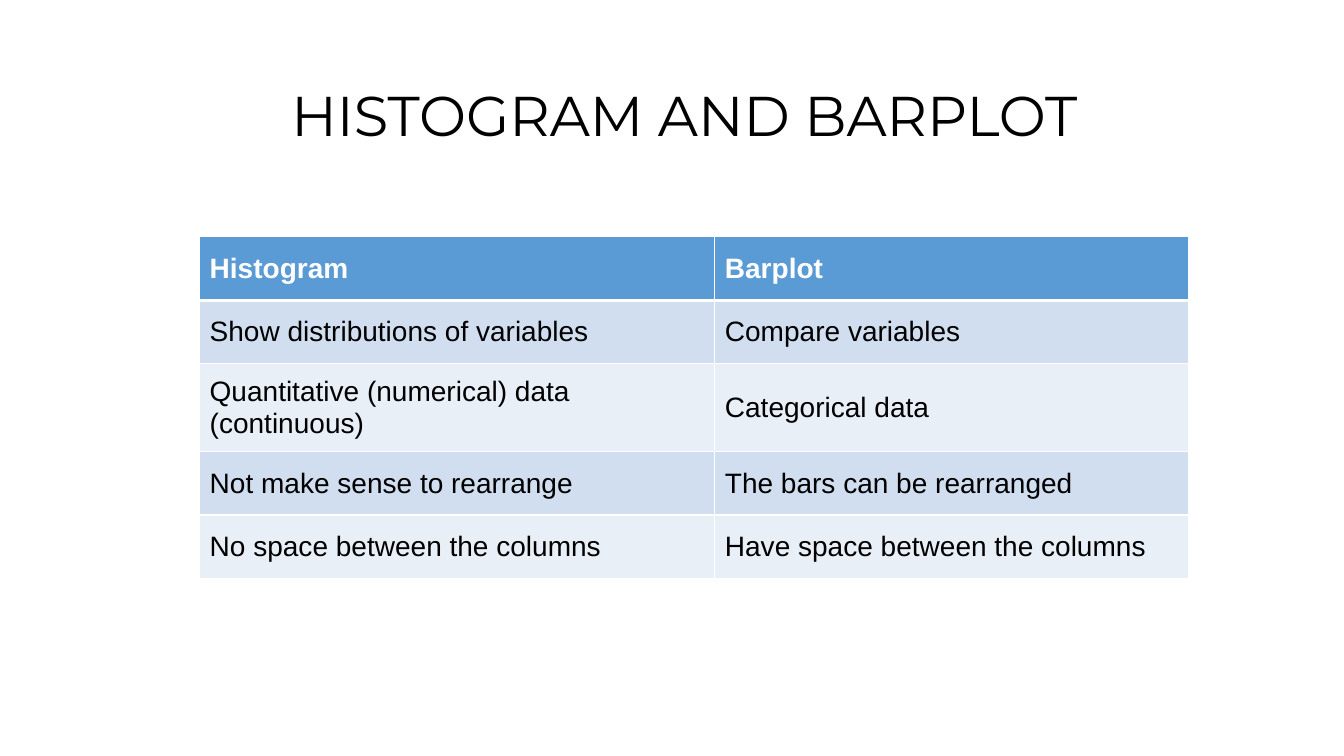
from dataclasses import dataclass

from lxml import etree
from pptx import Presentation
from pptx.dml.color import RGBColor
from pptx.enum.text import MSO_ANCHOR, PP_ALIGN
from pptx.oxml.ns import qn
from pptx.util import Inches, Pt

CENTER = PP_ALIGN.CENTER
MIDDLE = MSO_ANCHOR.MIDDLE
BOTTOM = MSO_ANCHOR.BOTTOM
BLANK_LAYOUT = 6


@dataclass(frozen=True)
class Theme:
    title_font: str = "Montserrat"
    body_font: str = "Arial"
    title_size: int = 40
    body_size: int = 20
    text: str = "000000"
    white: str = "FFFFFF"
    header: str = "5B9BD5"
    bands: tuple = ("D0DEEF", "E9EFF7")
    thin_border: int = 1
    thick_border: int = 3


class SlideBuilder:
    """Holds the theme and the slide being filled."""

    def __init__(self, slide, theme):
        self.slide = slide
        self.theme = theme

    def apply(self, target, formats):
        for name, value in formats.items():
            setattr(target, name, value)

    def add_text(self, text_frame, text, color, **font_formats):
        paragraph = text_frame.paragraphs[0]
        run = paragraph.add_run()
        run.text = text
        self.apply(run.font, font_formats)
        run.font.color.rgb = RGBColor.from_string(color)
        return paragraph

    def title(self, text, left, top, width, height):
        box = self.slide.shapes.add_textbox(
            Inches(left), Inches(top), Inches(width), Inches(height))
        self.apply(box.text_frame, {"word_wrap": True, "vertical_anchor": BOTTOM})
        paragraph = self.add_text(
            box.text_frame, text, self.theme.text,
            name=self.theme.title_font, size=Pt(self.theme.title_size))
        self.apply(paragraph, {"alignment": CENTER, "line_spacing": 1.3})

    def borders(self, cell, widths):
        properties = cell._tc.get_or_add_tcPr()
        for side, width in widths.items():
            line = etree.SubElement(properties, qn(f"a:ln{side}"), w=str(Pt(width)))
            fill = etree.SubElement(line, qn("a:solidFill"))
            etree.SubElement(fill, qn("a:srgbClr"), val=self.theme.white)

    def cell(self, cell, text, row_index):
        theme = self.theme
        is_header = row_index == 0
        fill_color = theme.header if is_header else theme.bands[(row_index - 1) % 2]
        thin, thick = theme.thin_border, theme.thick_border
        # The rule below the header is thicker than the other borders
        self.borders(cell, {
            "L": thin,
            "R": thin,
            "T": thick if row_index == 1 else thin,
            "B": thick if is_header else thin,
        })
        cell.fill.solid()
        cell.fill.fore_color.rgb = RGBColor.from_string(fill_color)
        cell.vertical_anchor = MIDDLE
        self.add_text(
            cell.text_frame, text, theme.white if is_header else theme.text,
            name=theme.body_font, size=Pt(theme.body_size), bold=is_header)

    def table(self, rows, left, top, column_widths, row_heights):
        table = self.slide.shapes.add_table(
            len(rows), len(column_widths), Inches(left), Inches(top),
            Inches(sum(column_widths)), Inches(sum(row_heights))).table
        for column, width in zip(table.columns, column_widths):
            column.width = Inches(width)
        for row, height in zip(table.rows, row_heights):
            row.height = Inches(height)
        for row_index, texts in enumerate(rows):
            for column_index, text in enumerate(texts):
                self.cell(table.cell(row_index, column_index), text, row_index)


COMPARISON = [
    ("Histogram", "Barplot"),
    ("Show distributions of variables", "Compare variables"),
    ("Quantitative (numerical) data (continuous)", "Categorical data"),
    ("Not make sense to rearrange", "The bars can be rearranged"),
    ("No space between the columns", "Have space between the columns"),
]


def main():
    presentation = Presentation()
    presentation.slide_width = Inches(13.33)
    presentation.slide_height = Inches(7.5)
    slide = presentation.slides.add_slide(presentation.slide_layouts[BLANK_LAYOUT])
    builder = SlideBuilder(slide, Theme())

    # Heading
    builder.title("HISTOGRAM AND BARPLOT", 1.79, 0.66, 10, 0.86)

    # Comparison table
    builder.table(COMPARISON, 1.98, 2.35, column_widths=(5.11, 4.7),
                  row_heights=(0.63, 0.63, 0.87, 0.63, 0.63))

    presentation.save("out.pptx")


if __name__ == "__main__":
    main()
